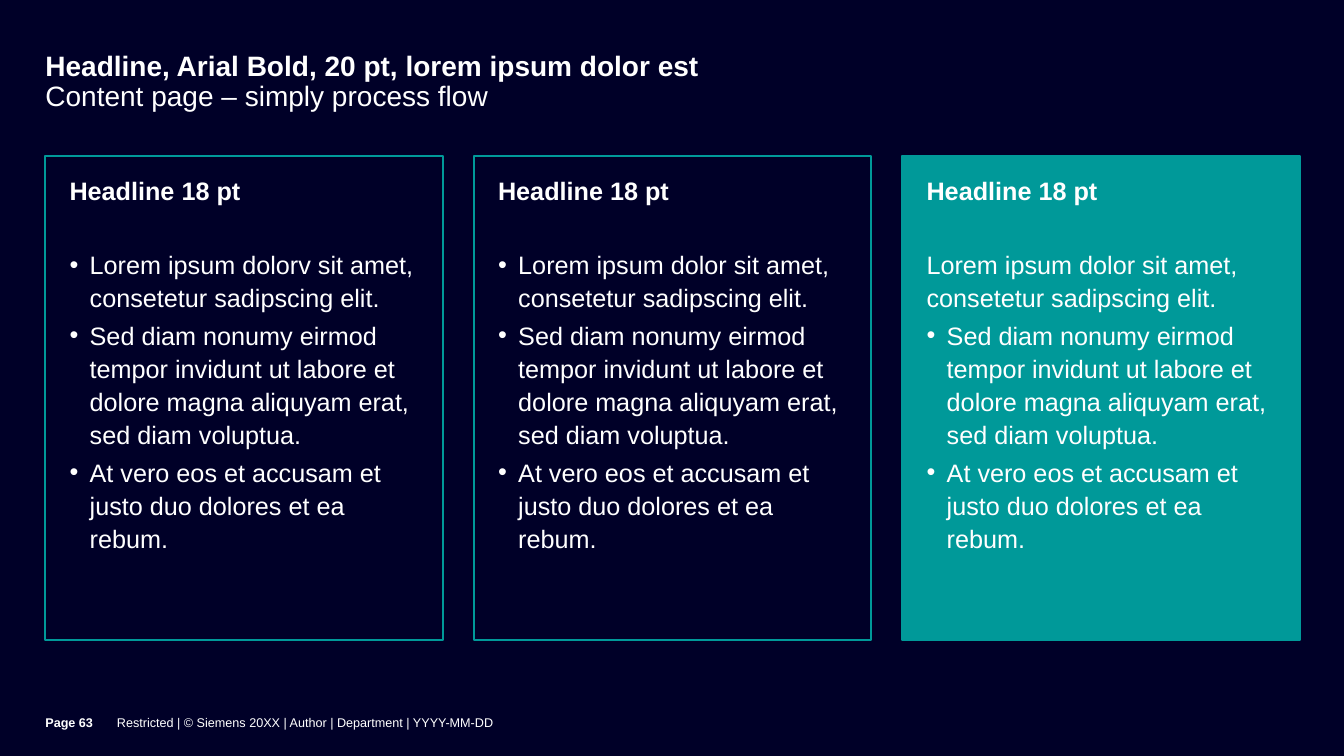
import pptx
import pptx.util
import pptx.dml.color
import pptx.enum.shapes
import pptx.enum.text
import pptx.oxml
import pptx.oxml.ns

Inches = pptx.util.Inches
Pt = pptx.util.Pt
RGBColor = pptx.dml.color.RGBColor
Anchor = pptx.enum.text.MSO_ANCHOR

NAVY = RGBColor(0x00, 0x00, 0x28)
TEAL = RGBColor(0x00, 0x99, 0x99)
WHITE = RGBColor(0xFF, 0xFF, 0xFF)

HEAD = "Headline 18 pt"
LOREM = "Lorem ipsum dolor sit amet, consetetur sadipscing elit."
POINTS = [
    "Sed diam nonumy eirmod tempor invidunt ut labore et dolore magna aliquyam erat, sed diam voluptua.",
    "At vero eos et accusam et justo duo dolores et ea rebum.",
]
CARDS = [
    {"first": LOREM.replace("dolor", "dolorv"), "dot": True, "solid": False},
    {"first": LOREM, "dot": True, "solid": False},
    {"first": LOREM, "dot": False, "solid": True},
]


def apply(target, values):
    for name, value in values.items():
        setattr(target, name, value)


def set_frame(frame, insets, anchor):
    left, top, right, bottom = map(Inches, insets)
    apply(frame, {
        "word_wrap": True, "vertical_anchor": anchor,
        "margin_left": left, "margin_top": top,
        "margin_right": right, "margin_bottom": bottom,
    })


def add_run(para, text, size, bold=False):
    run = para.add_run()
    run.text = text
    apply(run.font, {"name": "Arial", "size": Pt(size), "bold": bold})
    run.font.color.rgb = WHITE


def add_dot(para):
    props = para._p.get_or_add_pPr()
    props.set("marL", str(Inches(0.2)))
    props.set("indent", str(Inches(-0.2)))
    space = pptx.oxml.ns.nsdecls("a")
    for xml in (
        f'<a:buClr {space}><a:srgbClr val="{WHITE}"/></a:buClr>',
        f'<a:buFont {space} typeface="Arial"/>',
        f'<a:buChar {space} char="•"/>',
    ):
        props.append(pptx.oxml.parse_xml(xml))


def add_box(slide, box, insets, anchor):
    frame = slide.shapes.add_textbox(*map(Inches, box)).text_frame
    set_frame(frame, insets, anchor)
    return frame.paragraphs[0]


def add_title(slide, box):
    para = add_box(slide, box, (0, 0, 0.35, 0.02), Anchor.TOP)
    para.line_spacing = 0.9
    add_run(para, "Headline, Arial Bold, 20 pt, lorem ipsum dolor est", 20, True)
    para.add_line_break()
    add_run(para, "Content page – simply process flow", 20)


def add_card(slide, box, first, dot, solid):
    card = slide.shapes.add_shape(
        pptx.enum.shapes.MSO_SHAPE.RECTANGLE, *map(Inches, box))
    card.shadow.inherit = False
    if solid:
        card.fill.solid()
        card.fill.fore_color.rgb = TEAL
    else:
        card.fill.background()
    card.line.color.rgb = TEAL
    card.line.width = Pt(1.5)
    frame = card.text_frame
    set_frame(frame, (0.24, 0.16, 0.24, 0.16), Anchor.TOP)
    rows = [(HEAD, False, True, 29), (first, dot, False, 3)]
    rows += [(point, True, False, 3) for point in POINTS]
    for index, (text, mark, bold, after) in enumerate(rows):
        para = frame.add_paragraph() if index else frame.paragraphs[0]
        if mark:
            add_dot(para)
        apply(para, {
            "alignment": pptx.enum.text.PP_ALIGN.LEFT,
            "line_spacing": 1.1, "space_after": Pt(after),
        })
        add_run(para, text, 18, bold)


def add_cards(slide, box):
    left, top, width, height = box
    wide = 3.94
    step = (width - wide) / (len(CARDS) - 1)
    for index, card in enumerate(CARDS):
        add_card(slide, (left + index * step, top, wide, height), **card)


def add_foot(slide, box):
    left, top, width, height = box
    page = 0.71
    insets = (0, 0, 0, 0.07)
    note = add_box(slide, (left + page, top, width - page, height),
                   insets, Anchor.MIDDLE)
    add_run(note, "Restricted | © Siemens 20XX | Author | Department | YYYY-MM-DD", 9)
    label = add_box(slide, (left, top, page, height), insets, Anchor.MIDDLE)
    add_run(label, "Page 63", 9, True)


def main():
    deck = pptx.Presentation()
    apply(deck, {"slide_width": Inches(13.33), "slide_height": Inches(7.5)})
    slide = deck.slides.add_slide(deck.slide_layouts[6])
    slide.background.fill.solid()
    slide.background.fill.fore_color.rgb = NAVY
    add_title(slide, (0.45, 0.52, 10.79, 0.63))
    add_cards(slide, (0.45, 1.55, 12.44, 4.8))
    add_foot(slide, (0.45, 6.9, 10.79, 0.6))
    deck.save("out.pptx")


if __name__ == "__main__":
    main()
